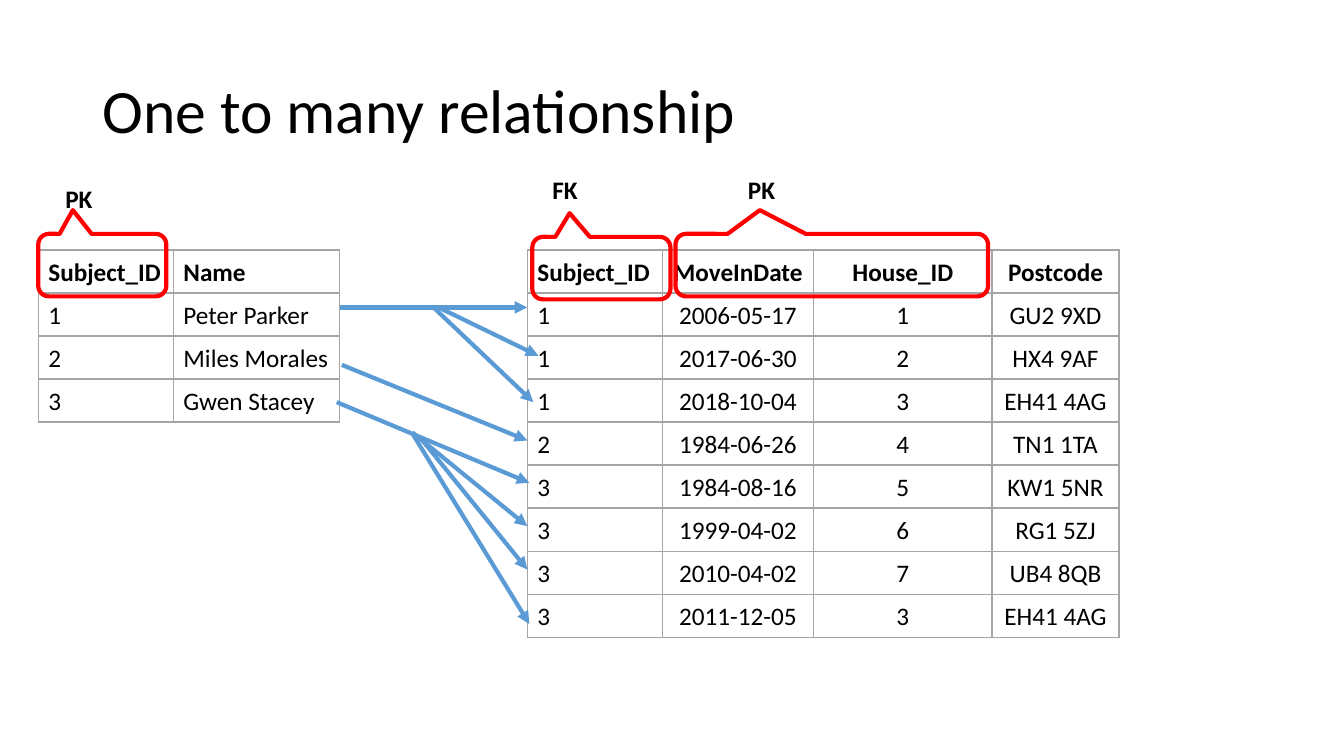
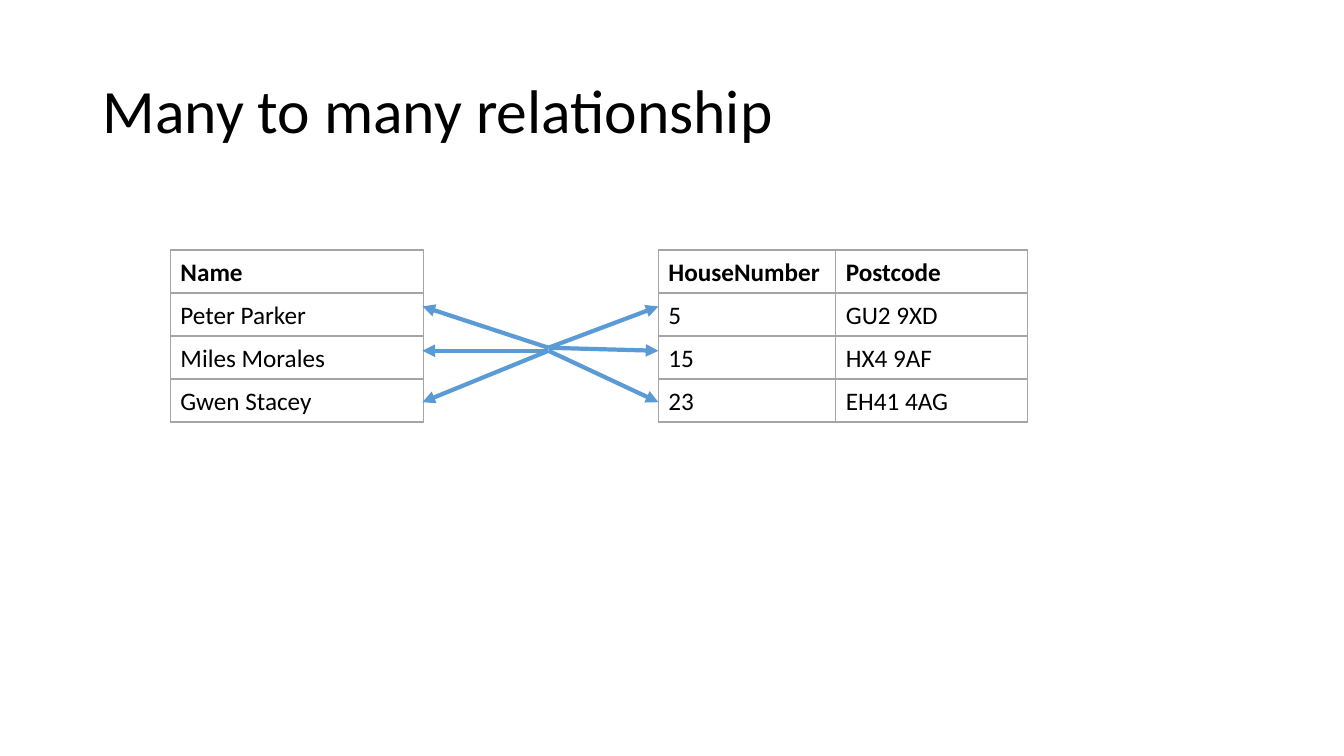
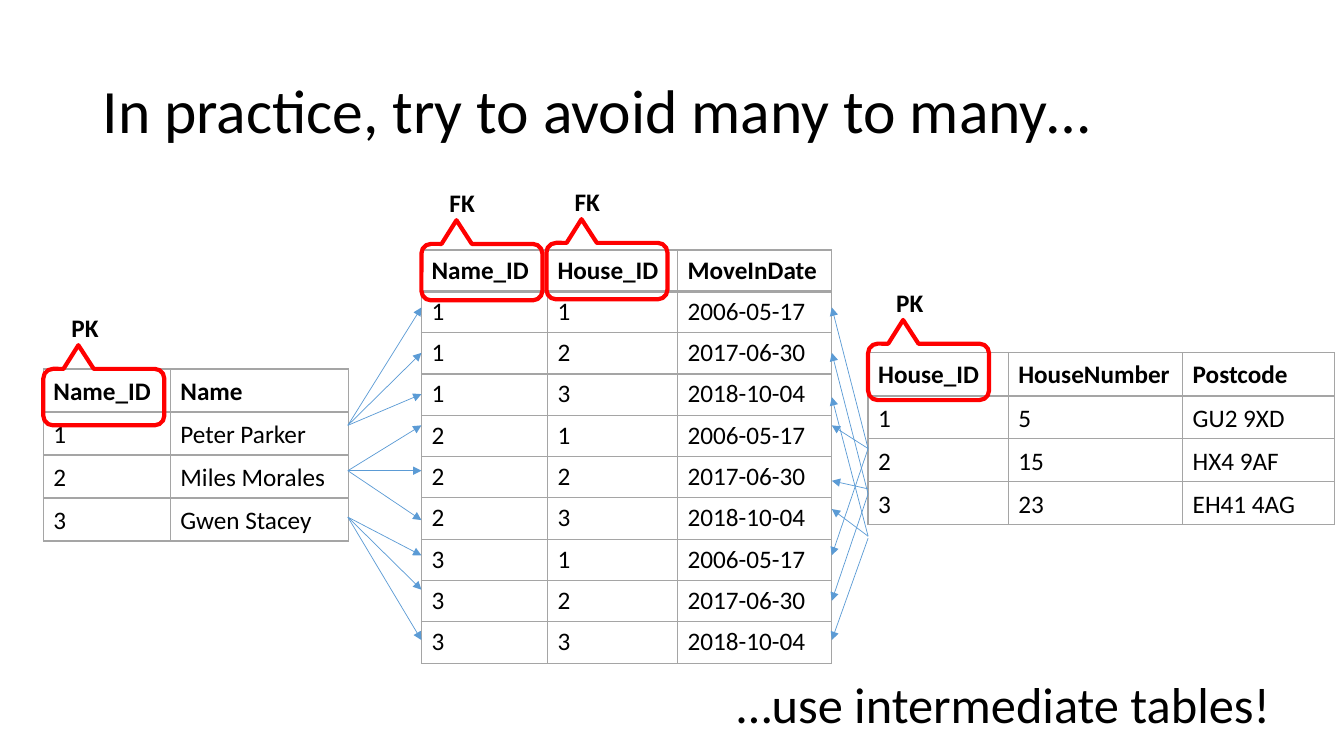
from lxml import etree
from pptx import Presentation
from pptx.dml.color import RGBColor
from pptx.enum.shapes import MSO_CONNECTOR, MSO_SHAPE
from pptx.enum.text import MSO_ANCHOR, MSO_AUTO_SIZE, PP_ALIGN
from pptx.oxml.ns import qn
from pptx.util import Emu, Pt

FONT = "Calibri"
BLACK, GREY, BLUE, RED = "000000", "A5A5A5", "5B9BD5", "FF0000"
ROW_HEIGHT = 41

SUBJECTS = [("1", "Peter Parker"), ("2", "Miles Morales"), ("3", "Gwen Stacey")]
HOUSES = [("1", "5", "GU2 9XD"), ("2", "15", "HX4 9AF"), ("3", "23", "EH41 4AG")]
MOVE_IN_DATES = ["2006-05-17", "2017-06-30", "2018-10-04"]


def px(length):
    """Turn px (100 to the inch) into EMU."""
    return Emu(length * 9144)


def rgb(hex_colour):
    return RGBColor.from_string(hex_colour)


def write_text(frame, text, size=18, bold=False, align=PP_ALIGN.LEFT,
               line_spacing=None, space_after=None):
    paragraph = frame.paragraphs[0]
    paragraph.alignment = align
    if line_spacing:
        paragraph.line_spacing = line_spacing
    if space_after:
        paragraph.space_after = Pt(space_after)
    run = paragraph.add_run()
    run.text = text
    run.font.name = FONT
    run.font.size = Pt(size)
    run.font.bold = bold
    run.font.color.rgb = rgb(BLACK)


def add_text(slide, left, top, width, height, text, anchor=MSO_ANCHOR.TOP, **text_format):
    frame = slide.shapes.add_textbox(px(left), px(top), px(width), px(height)).text_frame
    frame.word_wrap = True
    frame.auto_size = MSO_AUTO_SIZE.NONE
    frame.vertical_anchor = anchor
    write_text(frame, text, **text_format)


def add_titled_slide(deck, title):
    slide = deck.slides.add_slide(deck.slide_layouts[6])
    add_text(slide, 92, 40, 1150, 145, title, anchor=MSO_ANCHOR.MIDDLE,
             size=44, line_spacing=0.9)
    return slide


def set_borders(cell, bottom):
    """Draw a 1 pt border around the cell, with its own width at the bottom."""
    properties = cell._tc.get_or_add_tcPr()
    for side, width in (("L", 1), ("R", 1), ("T", 1), ("B", bottom)):
        border = etree.SubElement(properties, qn(f"a:ln{side}"), w=str(Pt(width)))
        fill = etree.SubElement(border, qn("a:solidFill"))
        etree.SubElement(fill, qn("a:srgbClr"), val=GREY)


def add_grid(slide, left, top, widths, header, records, centred=False,
             line_spacing=1.07, space_after=8):
    """Add a table; centred applies to every column after the first."""
    rows = [header, *records]
    table = slide.shapes.add_table(len(rows), len(widths), px(left), px(top),
                                   px(sum(widths)), px(ROW_HEIGHT * len(rows))).table
    table.horz_banding = False
    for column, width in zip(table.columns, widths):
        column.width = px(width)
    for r, values in enumerate(rows):
        table.rows[r].height = px(ROW_HEIGHT)
        for c, value in enumerate(values):
            cell = table.cell(r, c)
            set_borders(cell, bottom=2 if r == 0 else 1)
            cell.fill.background()
            write_text(cell.text_frame, value, bold=r == 0,
                       align=PP_ALIGN.CENTER if centred and c else PP_ALIGN.LEFT,
                       line_spacing=line_spacing, space_after=space_after)


def add_arrow(slide, x1, y1, x2, y2, weight=3):
    arrow = slide.shapes.add_connector(MSO_CONNECTOR.STRAIGHT, px(x1), px(y1), px(x2), px(y2))
    arrow.line.color.rgb = rgb(BLUE)
    arrow.line.width = Pt(weight)
    properties = arrow._element.spPr
    etree.SubElement(properties.find(qn("a:ln")), qn("a:tailEnd"), type="triangle")
    etree.SubElement(properties, qn("a:effectLst"))


def add_key_mark(slide, left, top, width, height, key, key_at, key_width, pointer):
    """Ring a column header and put its key label at the offset key_at."""
    ring = slide.shapes.add_shape(MSO_SHAPE.ROUNDED_RECTANGULAR_CALLOUT,
                                  px(left), px(top), px(width), px(height))
    ring.shadow.inherit = False
    ring.fill.background()
    ring.line.color.rgb = rgb(RED)
    ring.line.width = Pt(3)
    for i, value in enumerate(pointer):
        ring.adjustments[i] = value
    dx, dy = key_at
    add_text(slide, left + dx, top + dy, key_width, 40, key, bold=True)


def build_one_to_many(deck):
    slide = add_titled_slide(deck, "One to many relationship")
    add_grid(slide, 38, 248, [134, 165], ("Subject_ID", "Name"), SUBJECTS)
    moves = [
        ("1", "2006-05-17", "1", "GU2 9XD"),
        ("1", "2017-06-30", "2", "HX4 9AF"),
        ("1", "2018-10-04", "3", "EH41 4AG"),
        ("2", "1984-06-26", "4", "TN1 1TA"),
        ("3", "1984-08-16", "5", "KW1 5NR"),
        ("3", "1999-04-02", "6", "RG1 5ZJ"),
        ("3", "2010-04-02", "7", "UB4 8QB"),
        ("3", "2011-12-05", "3", "EH41 4AG"),
    ]
    add_grid(slide, 523, 248, [134, 150, 177, 126],
             ("Subject_ID", "MoveInDate", "House_ID", "Postcode"), moves, centred=True)
    for ends in [(337, 305, 523, 305), (435, 305, 534, 353), (430, 305, 529, 399),
                 (339, 362, 523, 437), (334, 399, 525, 479), (409, 429, 523, 522),
                 (419, 437, 523, 565), (409, 430, 525, 619)]:
        add_arrow(slide, *ends)
    for left, top, width, key, key_at, key_width in [
            (528, 235, 137, "FK", (10, -67), 70),
            (670, 232, 310, "PK", (62, -64), 76),
            (38, 232, 127, "PK", (17, -55), 70)]:
        add_key_mark(slide, left, top, width, 62, key, key_at, key_width,
                     pointer=(-0.23, -0.88, 0.17))


def build_many_to_many(deck):
    slide = add_titled_slide(deck, "Many to many relationship")
    add_grid(slide, 169, 248, [251], ("Name",), [(name,) for _, name in SUBJECTS])
    add_grid(slide, 653, 248, [176, 190], ("HouseNumber", "Postcode"),
             [house[1:] for house in HOUSES])
    row_levels = (304, 348, 399)
    for edge, hub_levels in ((653, (345, 345, 348)), (419, (345, 348, 348))):
        for hub_y, row_y in zip(hub_levels, row_levels):
            add_arrow(slide, 544, hub_y, edge, row_y)


def build_intermediate_table(deck):
    slide = add_titled_slide(deck, "In practice, try to avoid many to many…")
    add_grid(slide, 43, 366, [126, 177], ("Name_ID", "Name"), SUBJECTS)
    add_grid(slide, 861, 350, [139, 173, 151],
             ("House_ID", "HouseNumber", "Postcode"), HOUSES)
    links = [(subject, house, date) for subject, _ in SUBJECTS
             for (house, *_), date in zip(HOUSES, MOVE_IN_DATES)]
    add_grid(slide, 418, 248, [125, 129, 153], ("Name_ID", "House_ID", "MoveInDate"),
             links, line_spacing=None, space_after=None)

    subject_links = [(422, (305, 350, 391)), (467, (422, 467, 516)), (513, (551, 585, 635))]
    for start_y, targets in subject_links:
        for end_y in targets:
            add_arrow(slide, 345, start_y, 418, end_y, weight=0.5)
    house_links = [(445, 305), (445, 422), (445, 551), (490, 350), (485, 477),
                   (490, 596), (532, 394), (532, 505), (534, 635)]
    for start_y, end_y in house_links:
        add_arrow(slide, 861, start_y, 825, end_y, weight=0.5)

    add_text(slide, 721, 663, 603, 71, "…use intermediate tables!", size=36)
    for left, top, key in [(43, 366, "PK"), (861, 341, "PK"), (418, 242, "FK"), (542, 241, "FK")]:
        add_key_mark(slide, left, top, 120, 56, key, (18, -61), 63,
                     pointer=(-0.21, -0.92, 0.17))


def main():
    deck = Presentation()
    deck.slide_width, deck.slide_height = px(1333), px(750)
    build_one_to_many(deck)
    build_many_to_many(deck)
    build_intermediate_table(deck)
    deck.save("out.pptx")


if __name__ == "__main__":
    main()
